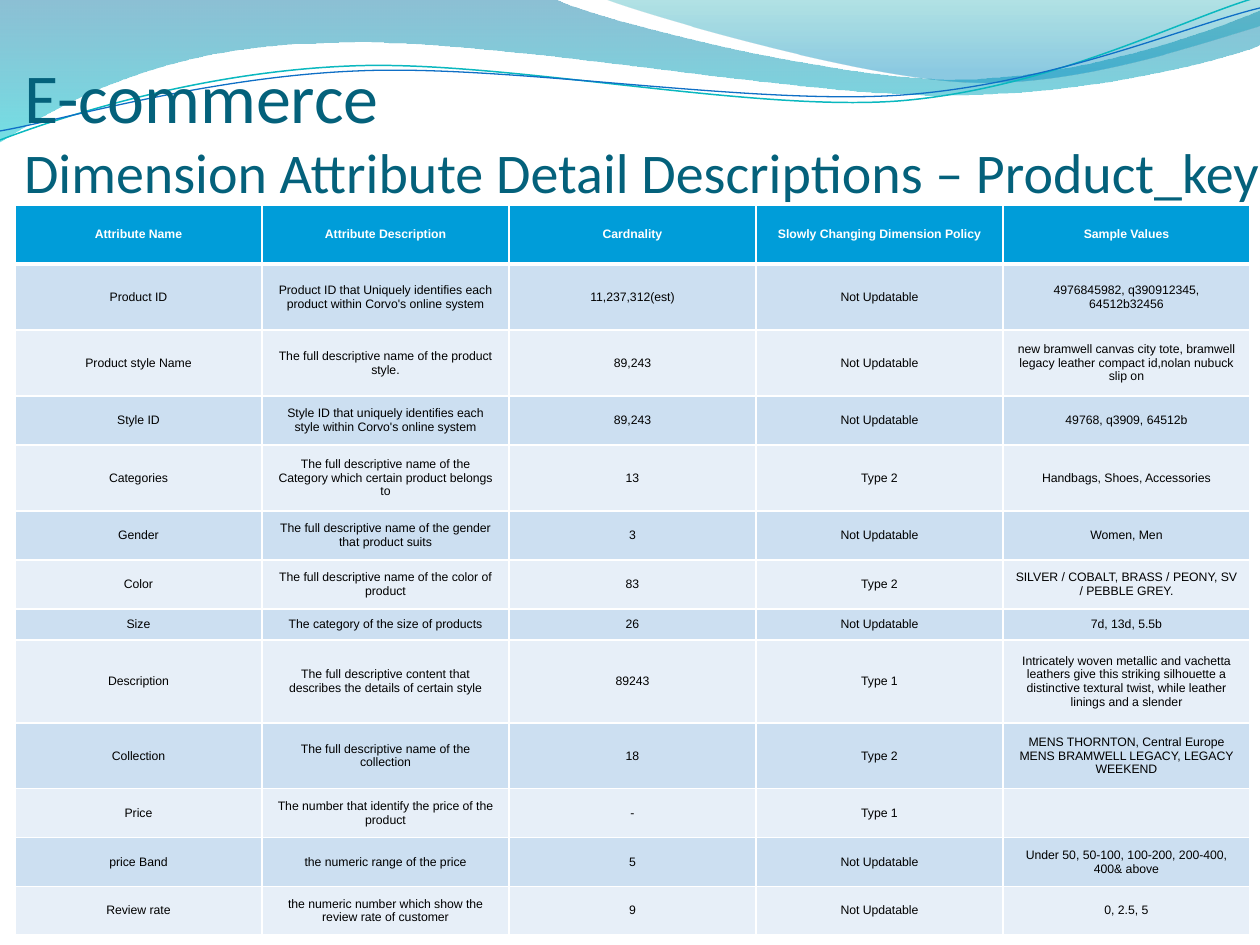
from lxml.etree import SubElement
from pptx import Presentation
from pptx.dml.color import RGBColor
from pptx.enum.text import MSO_ANCHOR, PP_ALIGN
from pptx.oxml.ns import qn
from pptx.util import Emu, Pt

EMU_PER_PX = 914400 / 126
COLORS = {
    "title": "04617B", "header": "009DD9", "odd": "CCDFF1", "even": "E7EFF8",
    "white": "FFFFFF", "black": "000000", "teal_line": "0AB8BF", "blue_line": "0F6FC6",
    "deep": "0074A1", "aqua": "00C6CF", "teal": "00A1A9", "sky": "008BBF",
}

# Outlines: a pair is a corner, a group of six numbers is a Bezier curve.
LEFT_WAVE = [
    (0, 0), (554, -1), (600, 21, 837, 79, 955, 79), (1075, 79, 1207, 33, 1260, 11),
    (1261, 45), (1239, 55, 1096, 96, 940, 95), (783, 95, 481, 35, 324, 43),
    (163, 45, 58, 105, -1, 142),
]
RIGHT_WAVE = [
    (604, -1), (641, 14, 859, 78, 969, 82), (1079, 87, 1211, 40, 1260, 26), (1260, 0),
]
TEAL_STRAND = [
    (0, 140), (60, 117, 199, 72, 349, 66), (498, 59, 747, 112, 898, 101),
    (1050, 89, 1182, 19, 1258, -3),
]
BLUE_STRAND = [
    (0, 131), (59, 121, 207, 77, 357, 71), (508, 64, 752, 106, 903, 95),
    (1053, 84, 1186, 26, 1260, 8),
]

HEADINGS = ["Attribute Name", "Attribute Description", "Cardnality",
            "Slowly Changing Dimension Policy", "Sample Values"]
FIXED, TYPE_1, TYPE_2 = "Not Updatable", "Type 1", "Type 2"
ATTRIBUTES = [
    (66, "Product ID",
     "Product ID that Uniquely identifies each product within Corvo's online system",
     "11,237,312(est)", FIXED, "4976845982, q390912345, 64512b32456"),
    (66, "Product style Name", "The full descriptive name of the product style.",
     "89,243", FIXED,
     "new bramwell canvas city tote, bramwell legacy leather compact id,nolan nubuck slip on"),
    (49, "Style ID",
     "Style ID that uniquely identifies each style within Corvo's online system",
     "89,243", FIXED, "49768, q3909, 64512b"),
    (66, "Categories",
     "The full descriptive name of the Category which certain product belongs to",
     "13", TYPE_2, "Handbags, Shoes, Accessories"),
    (49, "Gender", "The full descriptive name of the gender that product suits",
     "3", FIXED, "Women, Men"),
    (49, "Color", "The full descriptive name of the color of product",
     "83", TYPE_2, "SILVER / COBALT, BRASS / PEONY, SV / PEBBLE GREY."),
    (31, "Size", "The category of the size of products", "26", FIXED, "7d, 13d, 5.5b"),
    (83, "Description",
     "The full descriptive content that describes the details of certain style",
     "89243", TYPE_1,
     "Intricately woven metallic and vachetta leathers give this striking silhouette "
     "a distinctive textural twist, while leather linings and a slender"),
    (66, "Collection", "The full descriptive name of the collection", "18", TYPE_2,
     "MENS THORNTON, Central Europe MENS BRAMWELL LEGACY, LEGACY WEEKEND"),
    (49, "Price", "The number that identify the price of the product", "-", TYPE_1, ""),
    (49, "price Band", "the numeric range of the price", "5", FIXED,
     "Under 50, 50-100, 100-200, 200-400, 400& above"),
    (48, "Review rate", "the numeric number which show the review rate of customer",
     "9", FIXED, "0, 2.5, 5"),
]
HEADER_HEIGHT = 59


def px(length):
    return Emu(round(length * EMU_PER_PX))


def color(name):
    return RGBColor.from_string(COLORS[name])


def add_outline(slide, outline, left, top, close):
    """Draw straight legs through all points, then turn each curve's three legs into one."""
    start, *steps = [[(px(left + x), px(top + y)) for x, y in zip(step[::2], step[1::2])]
                     for step in outline]
    builder = slide.shapes.build_freeform(*start[0])
    builder.add_line_segments([point for step in steps for point in step], close=close)
    shape = builder.convert_to_shape()
    shape.shadow.inherit = False
    legs = iter(list(shape._element.iter(qn("a:lnTo"))))
    for step in steps:
        first, *others = [next(legs) for _ in step]
        if others:
            curve = first.makeelement(qn("a:cubicBezTo"))
            first.addprevious(curve)
            for leg in (first, *others):
                curve.append(leg[0])
                leg.getparent().remove(leg)
    return shape


def add_wave(slide, outline, left, top, stops):
    """Fill an outline from top to bottom with (position, color, opacity %) stops."""
    wave = add_outline(slide, outline, left, top, close=True)
    wave.line.fill.background()
    wave.fill.gradient()
    wave.fill.gradient_angle = 270
    for stop, (position, name, _) in zip(wave.fill.gradient_stops, stops):
        stop.position = position
        stop.color.rgb = color(name)
    tints = wave._element.spPr.iter(qn("a:srgbClr"))
    for tint, (_, _, opacity) in zip(tints, stops):
        SubElement(tint, qn("a:alpha"), val=str(opacity * 1000))


def add_strand(slide, outline, left, top, name, width):
    strand = add_outline(slide, outline, left, top, close=False)
    strand.fill.background()
    strand.line.color.rgb = color(name)
    strand.line.width = Pt(width)


def add_banner(slide, left, top):
    add_wave(slide, LEFT_WAVE, left, top, [(0, "deep", 45), (1, "aqua", 55)])
    add_wave(slide, RIGHT_WAVE, left, top, [(0, "teal", 30), (0.8, "sky", 45)])
    add_strand(slide, TEAL_STRAND, left, top, "teal_line", 0.85)
    add_strand(slide, BLUE_STRAND, left, top, "blue_line", 0.75)


def add_run(paragraph, text, font, size, name, bold=False):
    run = paragraph.add_run()
    run.text = text
    run.font.name = font
    run.font.size = Pt(size)
    run.font.bold = bold
    run.font.color.rgb = color(name)


def add_title(slide, left, top, width, height):
    frame = slide.shapes.add_textbox(px(left), px(top), px(width), px(height)).text_frame
    frame.word_wrap = True
    frame.vertical_anchor = MSO_ANCHOR.BOTTOM
    frame.margin_left = frame.margin_right = frame.margin_bottom = 0
    heading = frame.paragraphs[0]
    add_run(heading, "E-commerce", "Calibri", 40, "title")
    heading.add_line_break()
    add_run(heading, "Dimension Attribute Detail Descriptions – Product_key",
            "Calibri", 32, "title")


def set_borders(cell, top, bottom):
    properties = cell._tc.get_or_add_tcPr()
    sides = [("a:lnL", 1), ("a:lnR", 1), ("a:lnT", top), ("a:lnB", bottom)]
    for place, (side, width) in enumerate(sides):
        border = SubElement(properties, qn(side), w=str(Pt(width)))
        fill = SubElement(border, qn("a:solidFill"))
        SubElement(fill, qn("a:srgbClr"), val=COLORS["white"])
        properties.insert(place, border)


def fill_cell(cell, text, row):
    is_header = row == 0
    cell.fill.solid()
    cell.fill.fore_color.rgb = color("header" if is_header else "odd" if row % 2 else "even")
    set_borders(cell, top=3 if row == 1 else 1, bottom=3 if is_header else 1)
    cell.vertical_anchor = MSO_ANCHOR.MIDDLE
    paragraph = cell.text_frame.paragraphs[0]
    paragraph.alignment = PP_ALIGN.CENTER
    if text:
        add_run(paragraph, text, "Arial", 7, "white" if is_header else "black", is_header)
    else:
        paragraph.font.size = Pt(7)


def add_attribute_table(slide, left, top, width):
    rows = [(HEADER_HEIGHT, *HEADINGS), *ATTRIBUTES]
    height = sum(row[0] for row in rows)
    table = slide.shapes.add_table(len(rows), len(HEADINGS), px(left), px(top),
                                   px(width), px(height)).table
    for column in table.columns:
        column.width = px(width // len(HEADINGS))
    for r, (row_height, *texts) in enumerate(rows):
        table.rows[r].height = px(row_height)
        for c, text in enumerate(texts):
            fill_cell(table.cell(r, c), text, r)


def main():
    deck = Presentation()
    deck.slide_width, deck.slide_height = px(1260), px(945)
    slide = deck.slides.add_slide(deck.slide_layouts[6])
    add_banner(slide, 0, 0)
    add_title(slide, 24, 7, 1240, 198)
    add_attribute_table(slide, 15, 205, 1235)
    deck.save("out.pptx")


if __name__ == "__main__":
    main()
